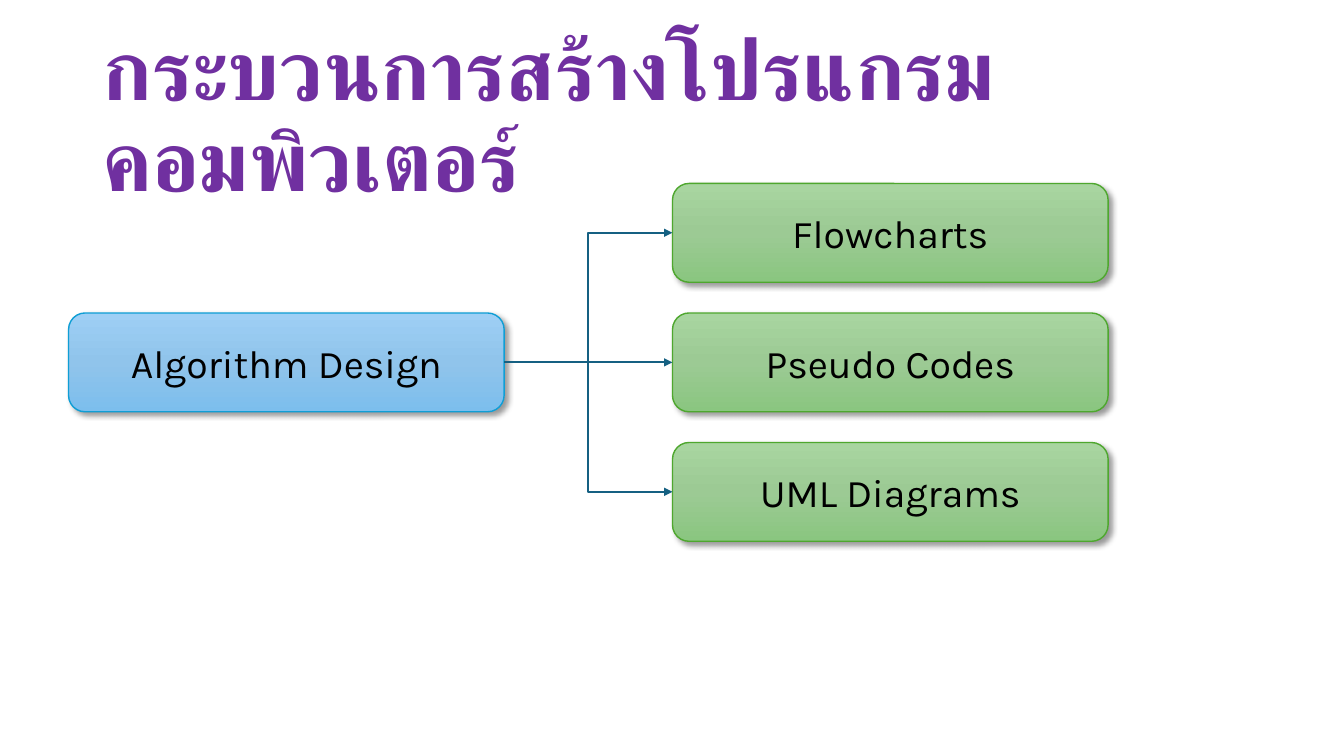
from copy import deepcopy

from pptx import Presentation
from pptx.dml.color import RGBColor
from pptx.enum.lang import MSO_LANGUAGE_ID as Language
from pptx.enum.shapes import MSO_CONNECTOR as Connector, MSO_SHAPE as Shape
from pptx.enum.text import MSO_ANCHOR as Anchor, MSO_AUTO_SIZE as AutoSize, PP_ALIGN as Align
from pptx.oxml import parse_xml
from pptx.oxml.ns import nsdecls, qn
from pptx.util import Inches, Pt

PURPLE = RGBColor(0x70, 0x30, 0xA0)
BLACK = RGBColor(0x00, 0x00, 0x00)
TEAL = RGBColor(0x15, 0x60, 0x82)
BLUE_EDGE = RGBColor(0x0F, 0x9E, 0xD5)
BLUES = (RGBColor(0x9E, 0xCF, 0xF5), RGBColor(0x90, 0xC4, 0xEB), RGBColor(0x7C, 0xBE, 0xED))
GREEN_EDGE = RGBColor(0x4E, 0xA7, 0x2E)
GREENS = (RGBColor(0xA8, 0xD5, 0xA0), RGBColor(0x9C, 0xCA, 0x94), RGBColor(0x8A, 0xC6, 0x80))

NODE_WIDTH, NODE_HEIGHT, NODE_PITCH = 4.32, 0.98, 1.285
BRANCH_OFFSET = 5.99
TOP, LEFT, RIGHT = 0, 1, 3
OUTPUTS = ("Flowcharts", "Pseudo Codes", "UML Diagrams")


def set_title(slide, text, left, top, width, height):
    title = slide.shapes.title
    title.left, title.top = Inches(left), Inches(top)
    title.width, title.height = Inches(width), Inches(height)
    frame = title.text_frame
    frame.text = text
    frame.word_wrap = True
    frame.auto_size = AutoSize.NONE
    frame.vertical_anchor = Anchor.MIDDLE
    para = frame.paragraphs[0]
    para.alignment = Align.LEFT
    para.line_spacing = 0.9
    span = para.runs[0]
    span.font.name = "Arial"
    span.font.size = Pt(60)
    span.font.bold = True
    span.font.color.rgb = PURPLE
    span.font.language_id = Language.THAI
    span.font._element.append(parse_xml(f'<a:cs {nsdecls("a")} typeface="Arial"/>'))


def fill_downward(shape, colours):
    """Fill with evenly spaced gradient stops from top to bottom."""
    shape.fill.gradient()
    shape.fill.gradient_angle = 270
    stop_list = shape._element.spPr.find(qn("a:gradFill")).find(qn("a:gsLst"))
    stop_list.insert(1, deepcopy(stop_list[0]))
    for index, (stop, colour) in enumerate(zip(shape.fill.gradient_stops, colours)):
        stop.color.rgb = colour
        stop.position = index / (len(colours) - 1)


def add_soft_shadow(shape):
    shape.shadow.inherit = False
    shape._element.spPr.find(qn("a:effectLst")).append(parse_xml(
        f'<a:outerShdw {nsdecls("a")} blurRad="{Pt(4)}" dist="{Pt(3)}" dir="2700000"'
        ' algn="tl" rotWithShape="0"><a:srgbClr val="000000"><a:alpha val="40000"/>'
        '</a:srgbClr></a:outerShdw>'))


def add_node(slide, text, left, top, colours, edge):
    node = slide.shapes.add_shape(Shape.ROUNDED_RECTANGLE, Inches(left), Inches(top),
                                  Inches(NODE_WIDTH), Inches(NODE_HEIGHT))
    fill_downward(node, colours)
    node.line.color.rgb = edge
    node.line.width = Pt(1)
    add_soft_shadow(node)
    frame = node.text_frame
    frame.text = text
    frame.word_wrap = True
    frame.vertical_anchor = Anchor.MIDDLE
    para = frame.paragraphs[0]
    para.alignment = Align.CENTER
    font = para.runs[0].font
    font.name = "Karla"
    font.size = Pt(28)
    font.color.rgb = BLACK
    return node


def add_elbow_arrow(slide, source, target):
    arrow = slide.shapes.add_connector(Connector.ELBOW, 0, 0, 0, 0)
    arrow.begin_connect(source, RIGHT)
    arrow.end_connect(target, LEFT)
    arrow.line.color.rgb = TEAL
    arrow.line.width = Pt(1.5)
    arrow.line._get_or_add_ln().append(
        parse_xml(f'<a:tailEnd {nsdecls("a")} type="triangle"/>'))
    arrow._element.spPr.append(parse_xml(f'<a:effectLst {nsdecls("a")}/>'))


def add_design_tree(slide, left, top):
    """Place the root level with the middle branch and link it to every branch."""
    middle = top + len(OUTPUTS) // 2 * NODE_PITCH
    root = add_node(slide, "Algorithm Design", left, middle, BLUES, BLUE_EDGE)
    branches = [add_node(slide, text, left + BRANCH_OFFSET, top + row * NODE_PITCH,
                         GREENS, GREEN_EDGE)
                for row, text in enumerate(OUTPUTS)]
    for branch in branches:
        add_elbow_arrow(slide, root, branch)


def main():
    deck = Presentation()
    deck.slide_width, deck.slide_height = Inches(13.33), Inches(7.5)
    slide = deck.slides.add_slide(deck.slide_layouts.get_by_name("Title Only"))
    set_title(slide, "กระบวนการสร้างโปรแกรมคอมพิวเตอร์", 0.92, 0.45, 11.5, 1.45)
    add_design_tree(slide, 0.68, 1.82)
    deck.save("out.pptx")


if __name__ == "__main__":
    main()
